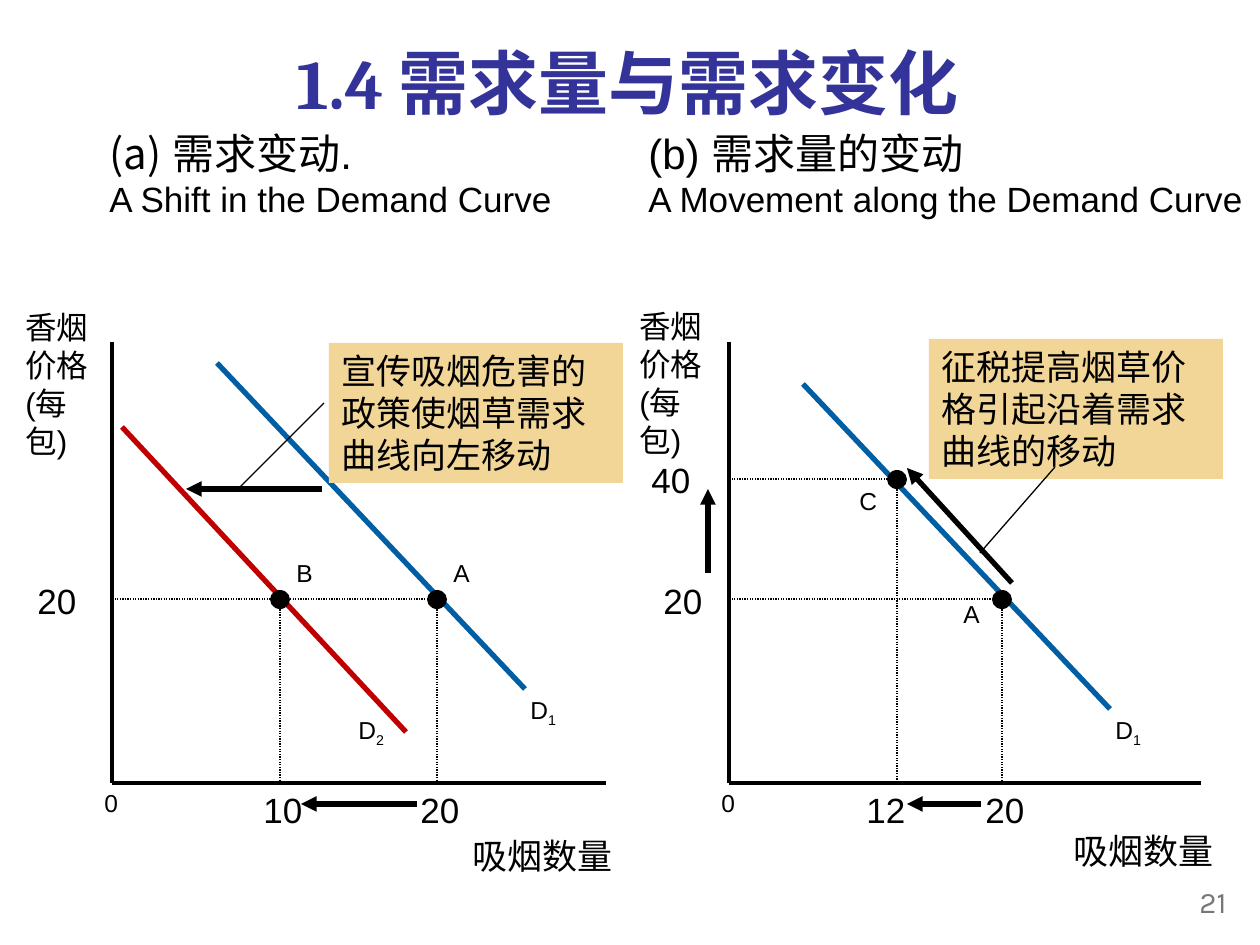
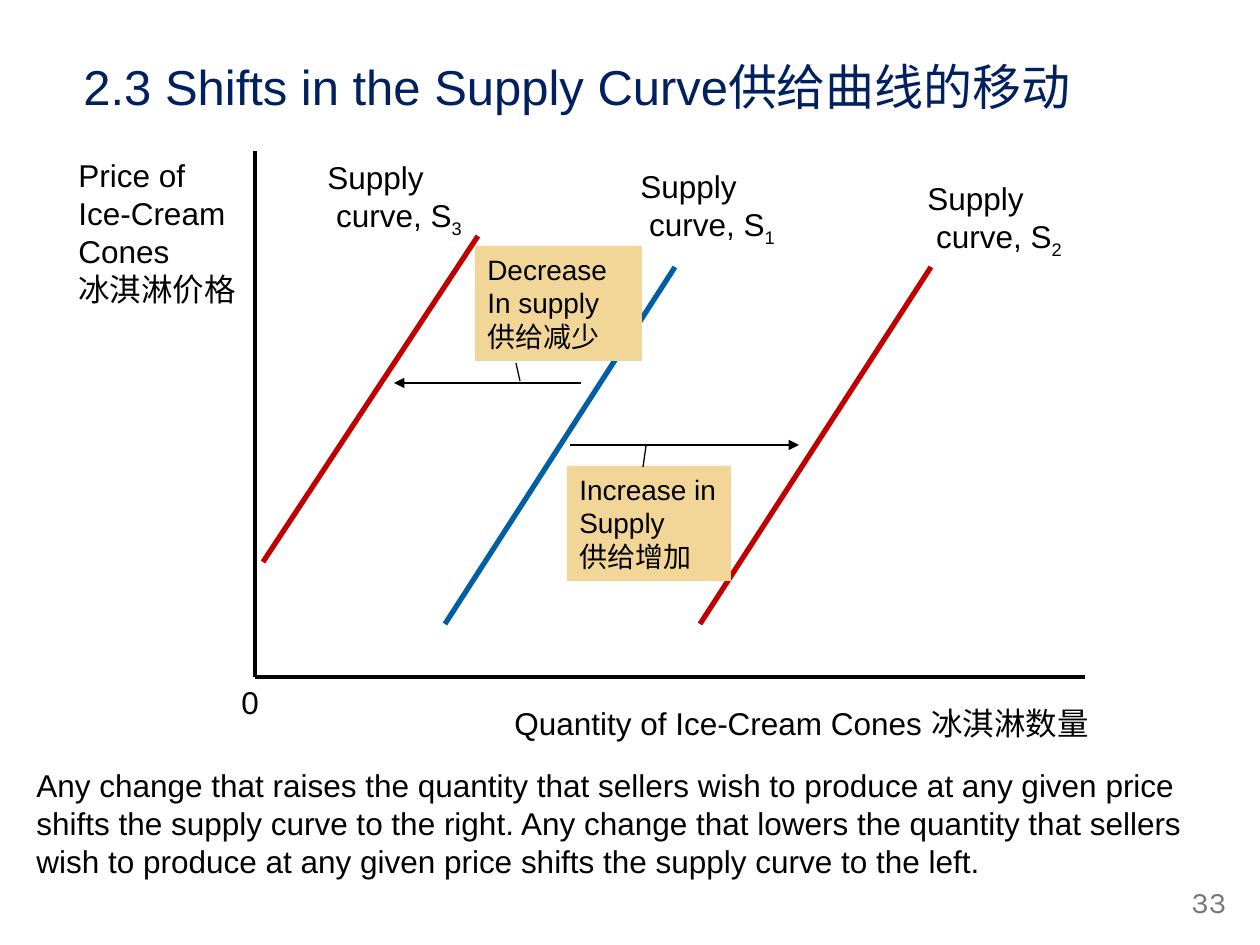
import dataclasses
import itertools
import lxml.etree
import pptx
import pptx.dml.color
import pptx.enum.dml
import pptx.enum.shapes
import pptx.enum.text
import pptx.oxml.ns
import pptx.util

SCALE = 914400 / 126
ALIGN = pptx.enum.text.PP_ALIGN
ANCHOR = pptx.enum.text.MSO_ANCHOR
DOTTED = pptx.enum.dml.MSO_LINE.ROUND_DOT
SHAPE = pptx.enum.shapes.MSO_SHAPE


@dataclasses.dataclass(frozen=True)
class Theme:
    ink: str = "000000"
    blue: str = "005EA4"
    red: str = "C00000"
    sand: str = "F2D698"
    violet: str = "333399"
    navy: str = "002060"
    grey: str = "777777"
    font: str = "Arial"
    title_font: str = "Cambria"
    number_font: str = "Karla"
    small: int = 14
    note: int = 16
    number: int = 17
    label: int = 18
    text: int = 20
    heading: int = 24
    subtitle: int = 28
    title: int = 40
    hairline: float = 0.75
    thin: float = 1.5
    axis: float = 2.25
    thick: float = 3


def emu(pixels):
    return round(pixels * SCALE)


def rgb(code):
    return pptx.dml.color.RGBColor.from_string(code)


def apply(target, values):
    for name, value in values.items():
        setattr(target, name, value)


def add_child(parent, tag, **attributes):
    return lxml.etree.SubElement(parent, pptx.oxml.ns.qn(tag), attributes)


class Drawing:
    def __init__(self, deck, theme):
        self.deck = deck
        self.theme = theme
        self.page = None

    def new_page(self, number):
        self.page = self.deck.slides.add_slide(self.deck.slide_layouts[5])
        self.text((1144, 878, 95, 50), [number], self.theme.number, color=self.theme.grey,
                  font=self.theme.number_font, align=ALIGN.RIGHT)

    def fill_text(self, box, lines, sizes, color=None, font=None, bold=False,
                  align=ALIGN.LEFT, wrap=True, anchor=ANCHOR.TOP, numbered=False):
        frame = box.text_frame
        apply(frame, {"word_wrap": wrap, "vertical_anchor": anchor,
                      "auto_size": pptx.enum.text.MSO_AUTO_SIZE.NONE})
        sizes = sizes if isinstance(sizes, tuple) else itertools.repeat(sizes)
        for index, (line, size) in enumerate(zip(lines, sizes)):
            para = frame.add_paragraph() if index else frame.paragraphs[0]
            para.alignment = align
            if numbered and index == 0:
                properties = para._p.get_or_add_pPr()
                properties.set("marL", "457200")
                properties.set("indent", "-457200")
                add_child(properties, "a:buFont", typeface="+mj-lt")
                add_child(properties, "a:buAutoNum", type="alphaLcParenBoth")
            main_part, _, subscript = line.partition("_")
            for content, lowered in ((main_part, False), (subscript, True)):
                if not content:
                    continue
                span = para.add_run()
                span.text = content
                apply(span.font, {"size": pptx.util.Pt(size), "bold": bold,
                                  "name": font or self.theme.font})
                span.font.color.rgb = rgb(color or self.theme.ink)
                if lowered:
                    span._r.get_or_add_rPr().set("baseline", "-25000")

    def title(self, area, content, size, **style):
        box = self.page.shapes.title
        apply(box, dict(zip(("left", "top", "width", "height"), map(emu, area))))
        self.fill_text(box, [content], size, align=ALIGN.CENTER, anchor=ANCHOR.MIDDLE, **style)

    def text(self, area, lines, sizes, **style):
        box = self.page.shapes.add_textbox(*map(emu, area))
        self.fill_text(box, lines, sizes, **style)

    def shape(self, kind, area, color):
        box = self.page.shapes.add_shape(kind, *map(emu, area))
        box.shadow.inherit = False
        box.fill.solid()
        box.fill.fore_color.rgb = rgb(color)
        box.line.fill.background()
        return box

    def line(self, start, end, width, color=None, dash=None, arrow=False):
        connector = self.page.shapes.add_connector(
            pptx.enum.shapes.MSO_CONNECTOR.STRAIGHT, *map(emu, (*start, *end)))
        connector.line.color.rgb = rgb(color or self.theme.ink)
        connector.line.width = pptx.util.Pt(width)
        if dash:
            connector.line.dash_style = dash
        properties = connector._element.spPr
        if arrow:
            add_child(properties.find(pptx.oxml.ns.qn("a:ln")), "a:tailEnd", type="triangle")
        add_child(properties, "a:effectLst")

    def axes(self, top, origin, right):
        self.line((origin[0], top), origin, self.theme.axis)
        self.line(origin, (right, origin[1]), self.theme.axis)

    def curve(self, start, end, color, label_area, label, size):
        self.line(start, end, self.theme.thick, color)
        self.text(label_area, label, size, wrap=False)

    def callout(self, area, lines, size, leader):
        self.fill_text(self.shape(SHAPE.RECTANGLE, area, self.theme.sand), lines, size)
        self.line(*leader, self.theme.hairline)

    def guide(self, start, end):
        self.line(start, end, self.theme.hairline, dash=DOTTED)

    def point(self, center, name, label_at):
        x, y = center
        self.shape(SHAPE.OVAL, (x - 10, y - 9, 20, 19), self.theme.ink)
        self.text((*label_at, 42, 43), [name], self.theme.small, wrap=False)


DEMAND_PANELS = [
    {
        "heading": (97, 471, ["需求变动.", "A Shift in the Demand Curve"], True),
        "origin": (112, 783), "right": 606,
        "price_at": (13, 302), "quantity_at": (460, 828),
        "curves": [((217, 363), (525, 689), "blue", (518, 689), "D_1"),
                   ((122, 427), (406, 732), "red", (346, 709), "D_2")],
        "arrows": [((322, 489), (186, 489)), ((417, 804), (301, 804))],
        "callout": ((329, 343), "宣传吸烟危害的政策使烟草需求曲线向左移动", ((238, 489), (324, 403))),
        "prices": [("20", (25, 573), (437, 599))],
        "points": [("B", (280, 599), (284, 552), "10", 251),
                   ("A", (437, 599), (441, 552), "20", 408)],
    },
    {
        "heading": (636, 624, ["(b) 需求量的变动", "A Movement along the Demand Curve"], False),
        "origin": (729, 783), "right": 1201,
        "price_at": (627, 301), "quantity_at": (1061, 823),
        "curves": [((803, 384), (1110, 709), "blue", (1103, 709), "D_1")],
        "arrows": [((1012, 583), (907, 468)), ((981, 804), (907, 804)), ((708, 573), (708, 489))],
        "callout": ((929, 339), "征税提高烟草价格引起沿着需求曲线的移动", ((980, 553), (1055, 467))),
        "prices": [("20", (651, 573), (1002, 599)), ("40", (639, 452), (897, 479))],
        "points": [("C", (897, 479), (847, 480), "12", 854),
                   ("A", (1002, 599), (951, 593), "20", 973)],
    },
]


def draw_demand_panel(drawing, panel):
    theme = drawing.theme
    origin = panel["origin"]
    left, width, lines, numbered = panel["heading"]
    drawing.text((left, 121, width, 106), lines, (theme.heading, theme.text),
                 wrap=False, numbered=numbered)
    drawing.axes(342, origin, panel["right"])
    drawing.text((*panel["price_at"], 100, 127), ["香烟价格(每包)"], theme.label)
    drawing.text((*panel["quantity_at"], 166, 55), ["吸烟数量"], theme.text, wrap=False)
    drawing.text((origin[0] - 20, 782, 39, 43), ["0"], theme.small, wrap=False)
    for start, end, color, label_at, name in panel["curves"]:
        drawing.curve(start, end, getattr(theme, color), (*label_at, 53, 43), [name], theme.small)
    for start, end in panel["arrows"]:
        drawing.line(start, end, theme.thick, arrow=True)
    corner, message, leader = panel["callout"]
    drawing.callout((*corner, 294, 140), [message], theme.text, leader)
    for price, label_at, reach in panel["prices"]:
        drawing.guide((origin[0], reach[1]), reach)
        drawing.text((*label_at, 64, 55), [price], theme.text, wrap=False)
    for name, center, label_at, quantity, quantity_left in panel["points"]:
        drawing.guide(center, (center[0], origin[1]))
        drawing.text((quantity_left, 782, 64, 55), [quantity], theme.text, wrap=False)
        drawing.point(center, name, label_at)


def draw_demand_page(drawing):
    theme = drawing.theme
    drawing.new_page("21")
    drawing.title((48, 35, 1159, 93), "1.4 需求量与需求变化", theme.title,
                  color=theme.violet, font=theme.title_font, bold=True)
    for panel in DEMAND_PANELS:
        draw_demand_panel(drawing, panel)


def draw_supply_page(drawing):
    theme = drawing.theme
    drawing.new_page("33")
    drawing.title((23, 50, 1108, 72), "2.3 Shifts in the Supply Curve供给曲线的移动",
                  theme.subtitle, color=theme.navy)
    drawing.axes(151, (255, 677), 1085)
    drawing.text((66, 150, 183, 165), ["Price of", "Ice-Cream", "Cones", "冰淇淋价格"],
                 theme.label, wrap=False)
    drawing.text((355, 698, 746, 50), ["Quantity of Ice-Cream Cones 冰淇淋数量"],
                 theme.label, align=ALIGN.RIGHT)
    drawing.text((229, 677, 43, 50), ["0"], theme.label, wrap=False)
    for start, end, color, label_at, number in (
            ((675, 267), (445, 624), theme.blue, (628, 161), 1),
            ((478, 236), (263, 562), theme.red, (315, 152), 3),
            ((931, 267), (700, 624), theme.red, (915, 173), 2)):
        drawing.curve(start, end, color, (*label_at, 163, 97),
                      ["Supply", f" curve, S_{number}"], theme.label)
    for start, end in (((570, 445), (799, 445)), ((581, 383), (394, 383))):
        drawing.line(start, end, theme.thin, arrow=True)
    drawing.callout((567, 466, 164, 115), ["Increase in", "Supply", "供给增加"],
                    theme.note, ((643, 467), (646, 446)))
    drawing.callout((475, 246, 167, 115), ["Decrease", "In supply", "供给减少"],
                    theme.note, ((516, 363), (520, 381)))
    drawing.text((24, 760, 1211, 127), [
        "Any change that raises the quantity that sellers wish to produce at any given price "
        "shifts the supply curve to the right. Any change that lowers the quantity that sellers "
        "wish to produce at any given price shifts the supply curve to the left."], theme.label)


def main():
    deck = pptx.Presentation()
    apply(deck, {"slide_width": emu(1260), "slide_height": emu(945)})
    drawing = Drawing(deck, Theme())
    draw_demand_page(drawing)
    draw_supply_page(drawing)
    deck.save("out.pptx")


if __name__ == "__main__":
    main()
